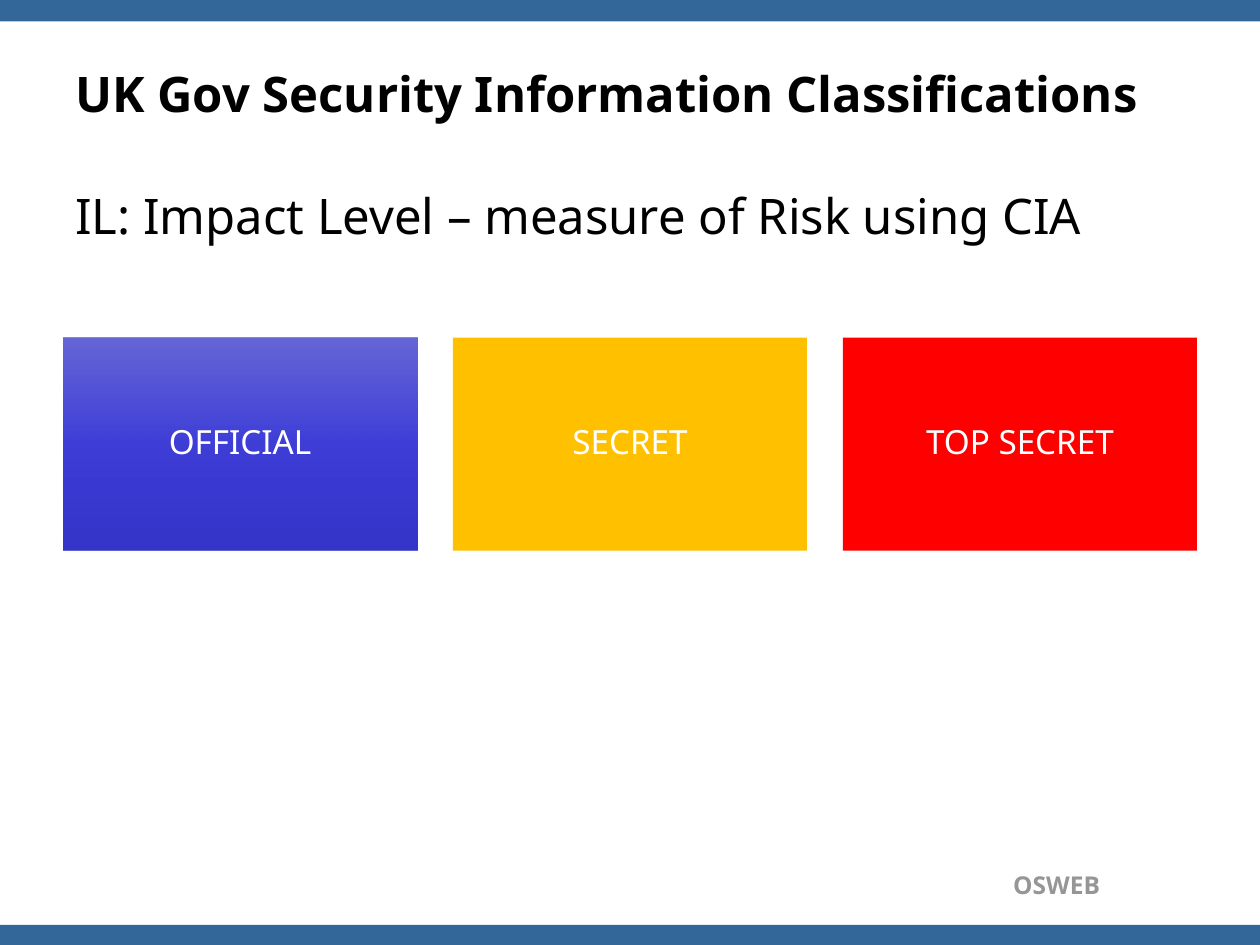
from dataclasses import dataclass
from typing import Optional

from lxml.etree import SubElement
from pptx import Presentation
from pptx.dml.color import RGBColor
from pptx.enum.shapes import MSO_SHAPE as Preset
from pptx.enum.text import MSO_ANCHOR as Anchor, PP_ALIGN as Align
from pptx.oxml.ns import qn
from pptx.util import Inches, Pt


@dataclass(frozen=True)
class Theme:
    font: str = "Noto Sans"
    heading_size: int = 28
    card_size: int = 19
    footer_size: int = 14
    band: str = "336699"
    ink: str = "000000"
    footer: str = "969696"
    card_ink: str = "FFFFFF"
    official: tuple = ("5757D3", "2B2BD4", "2020C3")
    secret: str = "FFC000"
    top_secret: str = "FF0000"


@dataclass(frozen=True)
class Box:
    left: float
    top: float
    width: float
    height: float

    def lengths(self) -> tuple:
        return tuple(map(Inches, (self.left, self.top, self.width, self.height)))


@dataclass(frozen=True)
class Classification:
    label: str
    colors: tuple


THEME = Theme()
CLASSIFICATIONS = (
    Classification("OFFICIAL", THEME.official),
    Classification("SECRET", (THEME.secret,)),
    Classification("TOP SECRET", (THEME.top_secret,)),
)
CARD = Box(0.5, 2.68, 2.81, 1.69)
CARD_PITCH = 3.095
GRADIENT_ALPHA = 90


def write(frame, text: str, size: int, color: str, bold: bool = False,
          align: Align = Align.LEFT, anchor: Anchor = Anchor.TOP):
    """Fill a text frame with one styled paragraph and return it."""
    frame.word_wrap = True
    frame.vertical_anchor = anchor
    frame.text = text
    paragraph = frame.paragraphs[0]
    paragraph.alignment = align
    font = paragraph.runs[0].font
    font.name, font.size, font.bold = THEME.font, Pt(size), bold
    font.color.rgb = RGBColor.from_string(color)
    return paragraph


def add_text(slide, box: Box, text: str, size: int, color: str, **style):
    return write(slide.shapes.add_textbox(*box.lengths()).text_frame,
                 text, size, color, **style)


def add_rectangle(slide, box: Box, color: Optional[str] = None):
    rectangle = slide.shapes.add_shape(Preset.RECTANGLE, *box.lengths())
    rectangle.shadow.inherit = False
    rectangle.line.fill.background()
    if color:
        rectangle.fill.solid()
        rectangle.fill.fore_color.rgb = RGBColor.from_string(color)
    return rectangle


def fill_gradient(shape, colors: tuple) -> None:
    """Spread translucent colours evenly from top to bottom."""
    shape.fill.gradient()
    shape.fill.gradient_angle = 270  # counter-clockwise, so downwards
    stops = shape.element.spPr.find(qn("a:gradFill")).find(qn("a:gsLst"))
    for stop in list(stops):
        stops.remove(stop)
    for index, color in enumerate(colors):
        position = 100000 * index // (len(colors) - 1)
        stop = SubElement(stops, qn("a:gs"), pos=str(position))
        tint = SubElement(stop, qn("a:srgbClr"), val=color)
        SubElement(tint, qn("a:alpha"), val=str(GRADIENT_ALPHA * 1000))


def add_card(slide, box: Box, level: Classification) -> None:
    if len(level.colors) > 1:
        card = add_rectangle(slide, box)
        fill_gradient(card, level.colors)
    else:
        card = add_rectangle(slide, box, level.colors[0])
    frame = card.text_frame
    frame.margin_left = frame.margin_right = Inches(0.08)
    frame.margin_top = frame.margin_bottom = Inches(0.08)
    label = write(frame, level.label, THEME.card_size, THEME.card_ink,
                  align=Align.CENTER, anchor=Anchor.MIDDLE)
    label.line_spacing = 0.9


def main() -> None:
    deck = Presentation()
    deck.slide_width, deck.slide_height = Inches(10), Inches(7.5)
    slide = deck.slides.add_slide(deck.slide_layouts[6])

    # Bands and footer
    for top in (0, 7.34):
        add_rectangle(slide, Box(0, top, 10, 0.17), THEME.band)
    add_text(slide, Box(6.22, 6.86, 2.61, 0.34), "OSWEB", THEME.footer_size,
             THEME.footer, bold=True, align=Align.RIGHT)

    # Title and introduction
    add_text(slide, Box(0.5, 0.22, 9, 1.03),
             "UK Gov Security Information Classifications",
             THEME.heading_size, THEME.ink, bold=True, anchor=Anchor.MIDDLE)
    intro = add_text(slide, Box(0.5, 1.42, 9, 5.28),
                     "IL: Impact Level – measure of Risk using CIA",
                     THEME.heading_size, THEME.ink)
    intro.space_before = Pt(7)

    # Classification cards
    for column, level in enumerate(CLASSIFICATIONS):
        left = CARD.left + column * CARD_PITCH
        add_card(slide, Box(left, CARD.top, CARD.width, CARD.height), level)

    deck.save("out.pptx")


if __name__ == "__main__":
    main()
